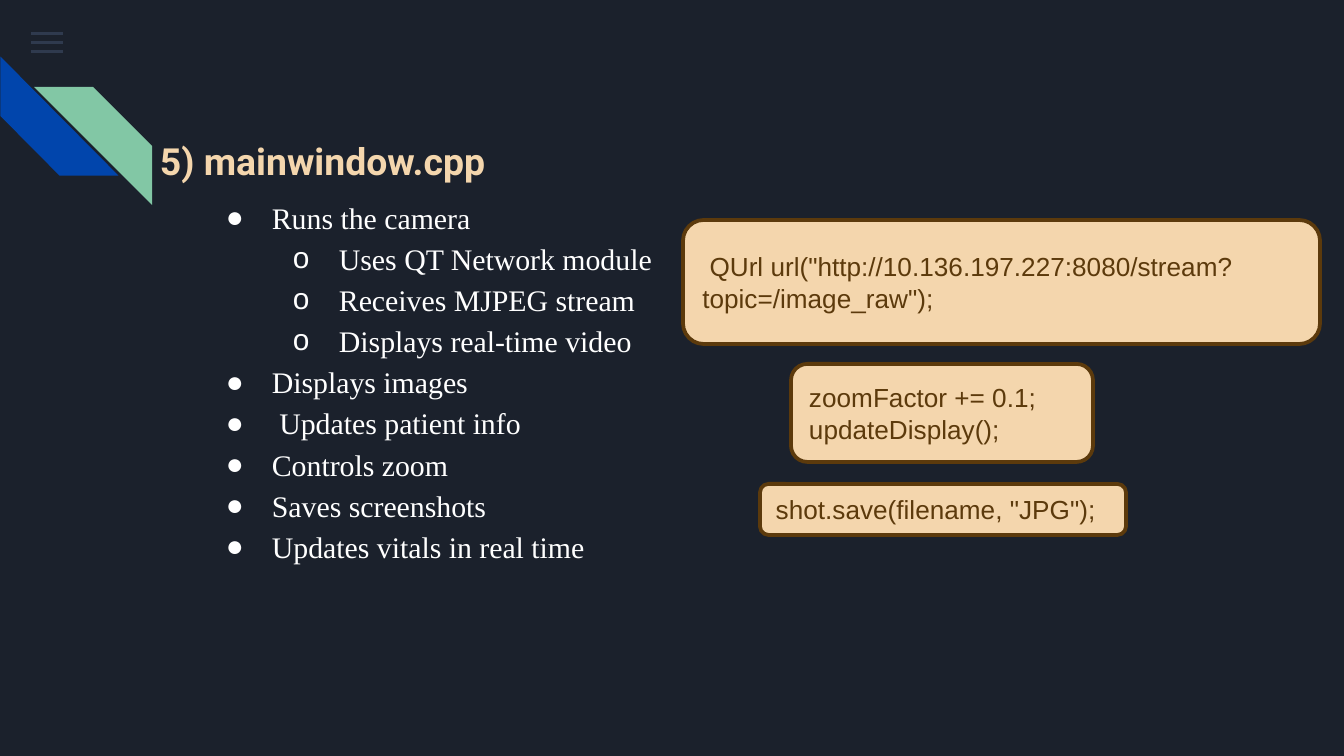
"""Build the mainwindow.cpp slide with its feature list and code callouts."""
from typing import NamedTuple

import lxml.etree
import pptx
import pptx.dml.color
import pptx.enum.shapes
import pptx.enum.text
import pptx.oxml.ns
import pptx.util

PX = 914400 / 134.4
COLORS = {
    "background": "1B212C",
    "menu": "55688B",
    "blue": "0145AC",
    "green": "82C7A5",
    "sand": "F4D6AD",
    "brown": "5C3A0C",
    "white": "FFFFFF",
}
SHAPE = pptx.enum.shapes.MSO_SHAPE


class Box(NamedTuple):
    x: int
    y: int
    w: int
    h: int


class Stripe(NamedTuple):
    box: Box
    color: str
    rotation: int


class Bullet(NamedTuple):
    text: str
    level: int = 0


class Code(NamedTuple):
    box: Box
    lines: tuple[str, ...]


MENU_BARS = [Box(31, 32 + 9 * i, 32, 3) for i in range(3)]
STRIPES = [
    Stripe(Box(0, 57, 119, 118), "blue", 270),
    Stripe(Box(34, 87, 118, 118), "green", 90),
]
BULLETS = [
    Bullet("Runs the camera"),
    Bullet("Uses QT Network module", 1),
    Bullet("Receives MJPEG stream", 1),
    Bullet("Displays real-time video", 1),
    Bullet("Displays images"),
    Bullet(" Updates patient info"),
    Bullet("Controls zoom"),
    Bullet("Saves screenshots"),
    Bullet("Updates vitals in real time"),
]
CODES = [
    Code(Box(683, 220, 637, 124),
         (' QUrl url("http://10.136.197.227:8080/stream?topic=/image_raw");',)),
    Code(Box(760, 484, 366, 51), ('shot.save(filename, "JPG");',)),
    Code(Box(791, 364, 302, 98), ("zoomFactor += 0.1;", "updateDisplay();")),
]


def px(n: int) -> int:
    return round(n * PX)


def place(box: Box) -> list[int]:
    return [px(n) for n in box]


def rgb(name: str) -> pptx.dml.color.RGBColor:
    return pptx.dml.color.RGBColor.from_string(COLORS[name])


def child(parent, tag: str, **attrs: str):
    return lxml.etree.SubElement(parent, pptx.oxml.ns.qn(tag), **attrs)


def add_shape(s, kind, box: Box, color: str):
    sp = s.shapes.add_shape(kind, *place(box))
    sp.shadow.inherit = False
    sp.fill.solid()
    sp.fill.fore_color.rgb = rgb(color)
    sp.line.fill.background()
    return sp


def add_run(p, text: str, font: str, size: int, color: str, bold: bool = False) -> None:
    r = p.add_run()
    r.text = text
    r.font.name = font
    r.font.size = pptx.util.Pt(size)
    r.font.bold = bold
    r.font.color.rgb = rgb(color)


def add_menu_bar(s, box: Box) -> None:
    sp = add_shape(s, SHAPE.RECTANGLE, box, "menu")
    color = sp.fill._xPr.find(".//" + pptx.oxml.ns.qn("a:srgbClr"))
    child(color, "a:alpha", val="36000")


def add_stripe(s, stripe: Stripe) -> None:
    sp = add_shape(s, SHAPE.DIAGONAL_STRIPE, stripe.box, stripe.color)
    sp.adjustments[0] = 0.5
    sp.rotation = stripe.rotation


def add_bullet(p, bullet: Bullet) -> None:
    pPr = p._p.get_or_add_pPr()
    pPr.set("marL", str(px(134 + 67 * bullet.level)))
    pPr.set("indent", str(px(-46)))
    child(child(pPr, "a:buClr"), "a:srgbClr", val=COLORS["white"])
    child(pPr, "a:buFont", typeface="Arial")
    child(pPr, "a:buChar", char="●o"[bullet.level])
    p.level = bullet.level
    p.line_spacing = 1.15
    add_run(p, bullet.text, "Times New Roman", 16, "white")


def add_body(s, box: Box, title: str, bullets: list[Bullet]) -> None:
    tf = s.shapes.add_textbox(*place(box)).text_frame
    tf.word_wrap = True
    tf.margin_left = tf.margin_right = tf.margin_top = tf.margin_bottom = px(13)
    p = tf.paragraphs[0]
    p._p.get_or_add_pPr().set("marL", str(px(22)))
    p.space_after = pptx.util.Pt(6)
    add_run(p, title, "Roboto", 20, "sand", True)
    for bullet in bullets:
        add_bullet(tf.add_paragraph(), bullet)


def add_code(s, code: Code) -> None:
    sp = add_shape(s, SHAPE.ROUNDED_RECTANGLE, code.box, "sand")
    sp.line.color.rgb = rgb("brown")
    sp.line.width = pptx.util.Pt(2)
    tf = sp.text_frame
    tf.word_wrap = True
    tf.vertical_anchor = pptx.enum.text.MSO_ANCHOR.MIDDLE
    for i, line in enumerate(code.lines):
        p = tf.add_paragraph() if i else tf.paragraphs[0]
        p.alignment = pptx.enum.text.PP_ALIGN.LEFT
        add_run(p, line, "Arial", 14, "brown")


def main() -> None:
    prs = pptx.Presentation()
    prs.slide_width, prs.slide_height = px(1344), px(756)
    s = prs.slides.add_slide(prs.slide_layouts[6])
    s.background.fill.solid()
    s.background.fill.fore_color.rgb = rgb("background")
    for bar in MENU_BARS:
        add_menu_bar(s, bar)
    for stripe in STRIPES:
        add_stripe(s, stripe)
    add_body(s, Box(125, 125, 650, 496), "5) mainwindow.cpp", BULLETS)
    for code in CODES:
        add_code(s, code)
    prs.save("out.pptx")


if __name__ == "__main__":
    main()
